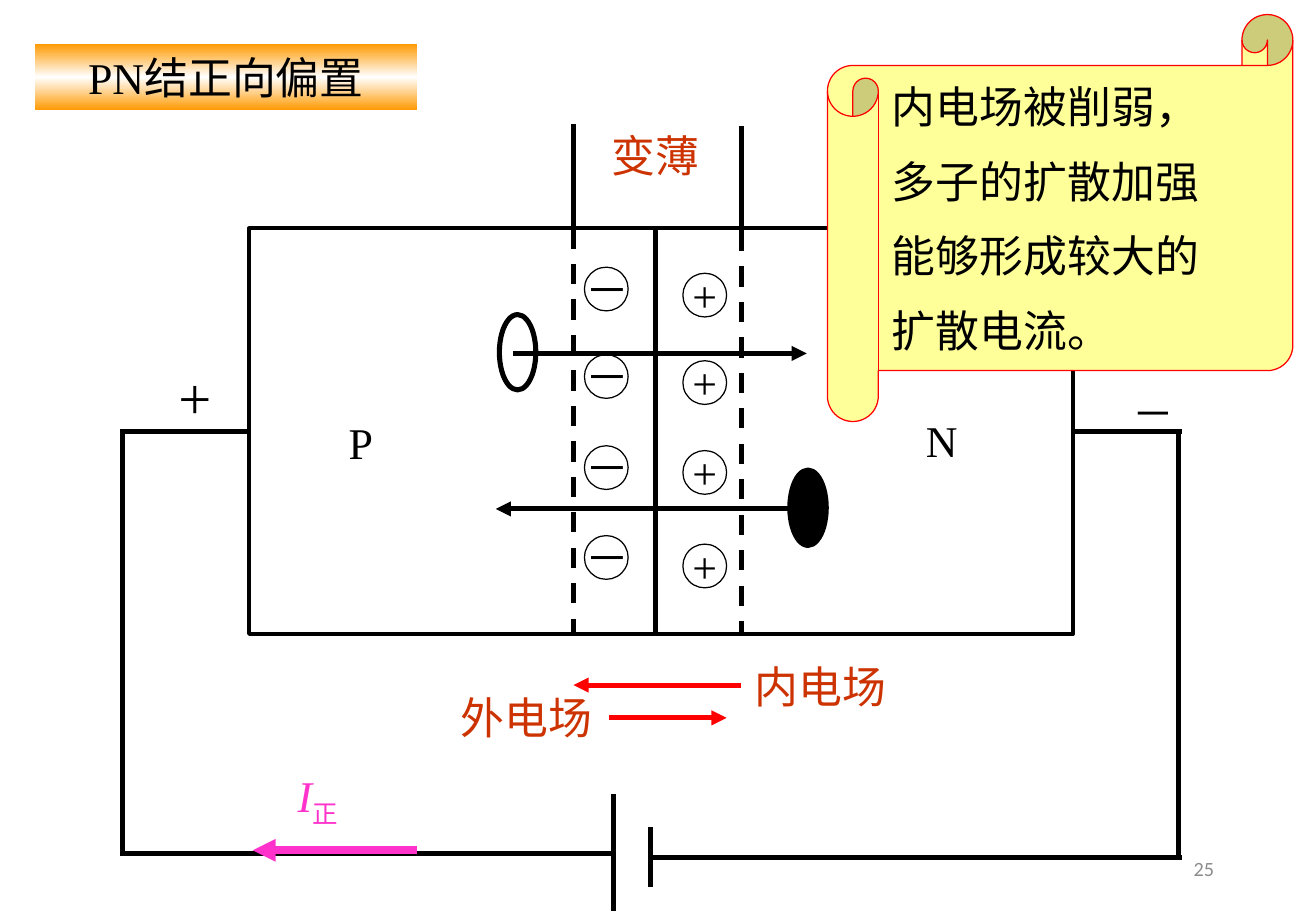
from copy import deepcopy

from lxml import etree
from pptx import Presentation
from pptx.dml.color import RGBColor
from pptx.enum.dml import MSO_LINE
from pptx.enum.shapes import MSO_CONNECTOR, MSO_SHAPE
from pptx.enum.text import MSO_ANCHOR, PP_ALIGN
from pptx.oxml.ns import qn
from pptx.util import Inches, Pt

RECT, OVAL, SCROLL = MSO_SHAPE.RECTANGLE, MSO_SHAPE.OVAL, MSO_SHAPE.HORIZONTAL_SCROLL
STRAIGHT, DASH = MSO_CONNECTOR.STRAIGHT, MSO_LINE.DASH
TOP, MIDDLE = MSO_ANCHOR.TOP, MSO_ANCHOR.MIDDLE
LEFT, CENTER, RIGHT = PP_ALIGN.LEFT, PP_ALIGN.CENTER, PP_ALIGN.RIGHT

BLACK, RED, BRICK, PINK = "000000", "FF0000", "CC3300", "FF33CC"
ORANGE, WHITE, YELLOW, GREY = "FF9900", "FFFFFF", "FFFF99", "8C8C8C"
LEFT_SIDE, RIGHT_SIDE = 1, 3


def rgb(value):
    return RGBColor.from_string(value)


def cells(count):
    """Ten grid columns or rows make one inch."""
    return Inches(count / 10)


class Diagram:
    font, size, stroke = "Times New Roman", 26, 3

    def __init__(self, slide):
        self.shapes = slide.shapes

    def set_text(self, sp, lines, color=BLACK, size=size, font=font,
                 align=LEFT, anchor=TOP, inset=(1, 0.5)):
        tf = sp.text_frame
        tf.word_wrap = True
        tf.vertical_anchor = anchor
        tf.margin_left = tf.margin_right = cells(inset[0])
        tf.margin_top = tf.margin_bottom = cells(inset[1])
        for i, line in enumerate(lines):
            p = tf.add_paragraph() if i else tf.paragraphs[0]
            p.alignment = align
            p.space_before = Pt(size / 2 if i else 0)
            p.font.name, p.font.size = font, Pt(size)
            p.font.color.rgb = rgb(color)
            p.add_run().text = line
        return tf

    def text(self, box, line, **style):
        sp = self.shapes.add_textbox(*map(cells, box))
        return self.set_text(sp, [line], **style)

    def shape(self, kind, box, line=BLACK, width=stroke, fill=None):
        sp = self.shapes.add_shape(kind, *map(cells, box))
        sp.shadow.inherit = False
        if fill:
            sp.fill.solid()
            sp.fill.fore_color.rgb = rgb(fill)
        else:
            sp.fill.background()
        if line:
            sp.line.color.rgb = rgb(line)
            sp.line.width = Pt(width)
        else:
            sp.line.fill.background()
        return sp

    def gradient(self, sp, colors):
        sp.fill.gradient()
        sp.fill.gradient_angle = 90
        stop_list = sp._element.spPr.find(".//" + qn("a:gsLst"))
        while len(stop_list) < len(colors):
            stop_list.append(deepcopy(stop_list[0]))
        for i, (stop, color) in enumerate(zip(sp.fill.gradient_stops, colors)):
            stop.color.rgb = rgb(color)
            stop.position = i / (len(colors) - 1)

    def line(self, x1, y1, x2, y2, color=BLACK, width=stroke, dash=None, arrow=False):
        cx = self.shapes.add_connector(STRAIGHT, *map(cells, (x1, y1, x2, y2)))
        cx.line.color.rgb = rgb(color)
        cx.line.width = Pt(width)
        if dash:
            cx.line.dash_style = dash
        if arrow:
            ln = cx.line._get_or_add_ln()
            etree.SubElement(ln, qn("a:tailEnd")).set("type", "triangle")
        etree.SubElement(cx._element.spPr, qn("a:effectLst"))
        return cx


def main():
    prs = Presentation()
    prs.slide_width, prs.slide_height = cells(108.3), cells(75)
    d = Diagram(prs.slides.add_slide(prs.slide_layouts[6]))
    label = dict(color=BRICK, anchor=MIDDLE, inset=(1.1, 0.6))

    # Title
    title = d.shape(RECT, (2.9, 3.6, 31.4, 5.5), line=None)
    d.gradient(title, (ORANGE, WHITE, ORANGE))
    d.set_text(title, ["PN结正向偏置"], align=CENTER, anchor=MIDDLE, inset=(1.1, 0.6))

    # Field directions
    d.line(61, 56.4, 47.2, 56.4, color=RED, arrow=True)
    d.text((61, 53.7, 14.9, 5.5), "内电场", **label)
    d.line(50.1, 59.1, 59.8, 59.1, color=RED, arrow=True)
    d.text((36.8, 56.3, 14.4, 5.5), "外电场", **label)

    # P and N regions
    p_region = d.shape(RECT, (20.5, 18.8, 33.4, 33.4), width=2.25)
    n_region = d.shape(RECT, (54, 18.8, 34.3, 33.4), width=2.25)
    d.text((27.7, 33.7, 8.2, 5.4), "P")
    d.text((75.2, 33.6, 8.2, 5.4), "N")

    # Depletion layer edges
    for x, top in ((47.2, 10.2), (61, 10.4)):
        d.line(x, top, x, top + 8.8)
        d.line(x, top + 8.6, x, top + 42, dash=DASH)
    d.text((49.2, 10, 11.3, 5.5), "变薄", **label)

    # Fixed ions: sign, circle left, text left, text width, circle tops
    ions = (("－", 48.1, 47.2, 6.3, (22, 29.2, 36.7, 44.1)),
            ("+", 56.2, 56, 4.5, (22.5, 29.7, 37.1, 44.8)))
    for sign, x, text_x, text_w, tops in ions:
        for y in tops:
            d.shape(OVAL, (x, y, 3.6, 3.6), width=0.75)
            d.text((text_x, y - 0.9, text_w, 5.4), sign)

    # Moving hole and electron
    d.shape(OVAL, (41.1, 25.9, 3, 6.2))
    d.line(42.2, 29.1, 66.4, 29.1, arrow=True)
    d.shape(OVAL, (65, 38.7, 3, 6.2), fill=BLACK)
    d.line(65, 41.9, 40.8, 41.9, arrow=True)

    # Outer circuit
    middle = 35.5
    d.line(9.9, middle, 20.5, middle).end_connect(p_region, LEFT_SIDE)
    d.line(88.3, middle, 97.3, middle).begin_connect(n_region, RIGHT_SIDE)
    for wire in ((10.1, middle, 10.1, 70.3), (9.9, 70.3, 50.5, 70.3),
                 (97, middle, 97, 70.6), (53.5, 70.6, 97.3, 70.6)):
        d.line(*wire)
    d.text((13.7, 29.2, 8.9, 6.8), "+", size=34.7)
    d.text((92.7, 28.2, 12, 6.8), "_", size=34.7)

    # Battery plates
    d.line(50.5, 65.4, 50.5, 75)
    d.line(53.5, 68.1, 53.5, 73)

    # Conclusion scroll
    scroll = d.shape(SCROLL, (68.1, 1.2, 38.3, 33.5), line=RED, width=0.75, fill=YELLOW)
    d.set_text(scroll, ["内电场被削弱，", "多子的扩散加强", "能够形成较大的", "扩散电流。"],
               anchor=MIDDLE, inset=(1.1, 0.6))

    # Forward current
    d.line(34.3, 70, 20.8, 70, color=PINK, width=4.5, arrow=True)
    p = d.text((23.5, 62.8, 10.8, 5.4), "I", color=PINK).paragraphs[0]
    p.runs[0].font.italic = True
    r = p.add_run()
    r.text = "正"
    r.font._element.set("baseline", "-25000")

    # Page number
    d.text((76.5, 69.5, 24.4, 4), "25", color=GREY, size=12, font="Calibri",
           align=RIGHT, anchor=MIDDLE)

    prs.save("out.pptx")


if __name__ == "__main__":
    main()
